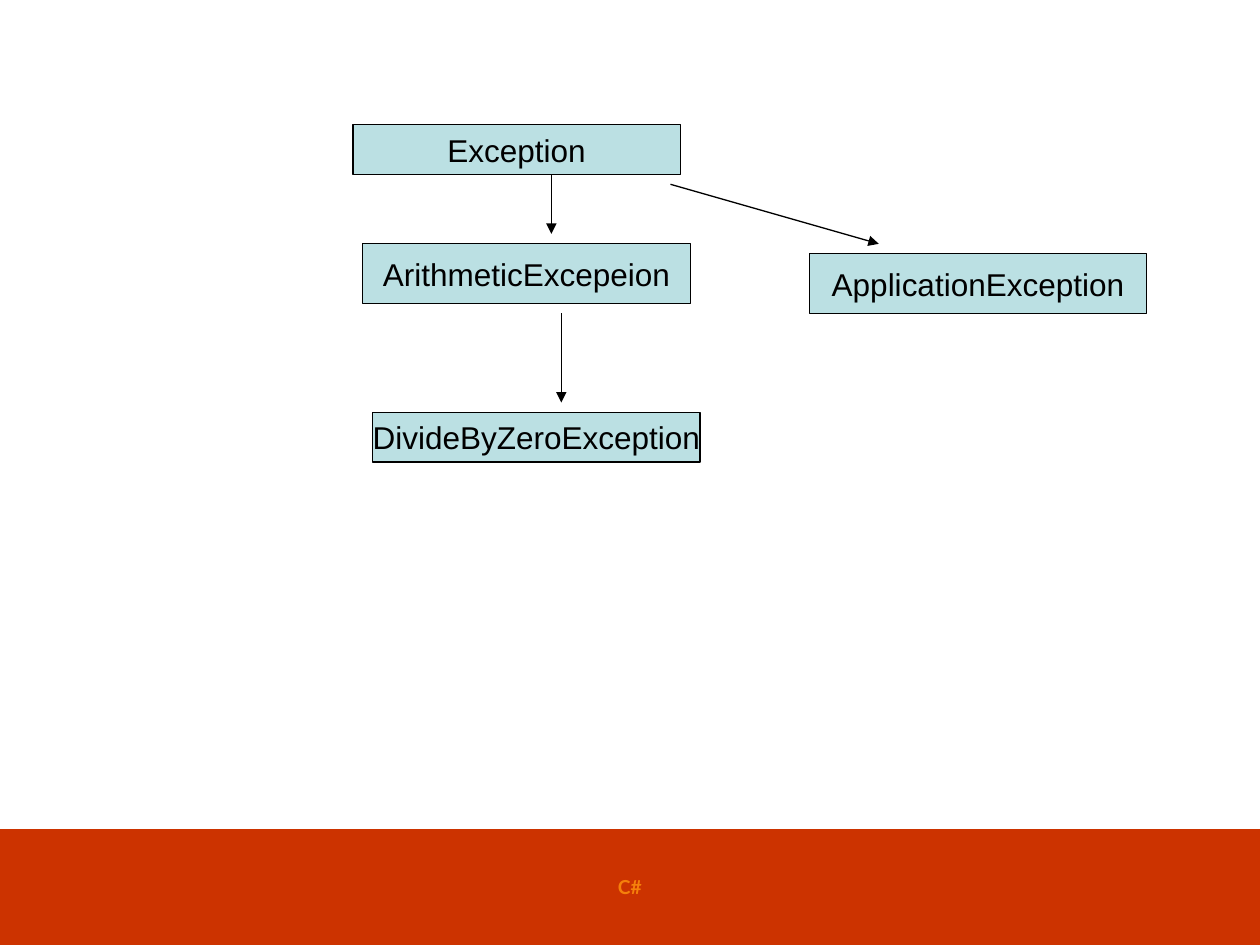
from dataclasses import dataclass

import pptx
import pptx.dml.color
import pptx.enum.shapes
import pptx.enum.text
import pptx.oxml
import pptx.oxml.ns
import pptx.util

COLORS = {"band": "CC3300", "footer": "F5800B", "box": "BBE0E3", "ink": "000000"}
CELL = pptx.util.Mm(2)
ORIGIN = pptx.util.Mm(1.15)
BAND_SHARE = 0.12


@dataclass
class Box:
    """A class in the hierarchy, placed in grid columns and rows."""
    name: str
    col: int
    row: int
    cols: int
    rows: int


@dataclass
class Arrow:
    """An arrow between two grid points."""
    col: int
    row: int
    end_col: int
    end_row: int


BOXES = [
    Box("Exception", 35, 12, 33, 5),
    Box("ArithmeticExcepeion", 36, 24, 33, 6),
    Box("DivideByZeroException", 37, 41, 33, 5),
    Box("ApplicationException", 81, 25, 34, 6),
]
ARROWS = [Arrow(55, 17, 55, 23), Arrow(56, 31, 56, 40), Arrow(67, 18, 88, 24)]


def rgb(name: str) -> pptx.dml.color.RGBColor:
    return pptx.dml.color.RGBColor.from_string(COLORS[name])


def grid(n: int) -> int:
    return ORIGIN + n * CELL


def add_rect(s, x: int, y: int, w: int, h: int, fill: str, text: str,
             font: str, size: int, color: str):
    sp = s.shapes.add_shape(pptx.enum.shapes.MSO_SHAPE.RECTANGLE, x, y, w, h)
    sp.shadow.inherit = False
    sp.fill.solid()
    sp.fill.fore_color.rgb = rgb(fill)
    sp.line.fill.background()
    tf = sp.text_frame
    tf.text = text
    tf.word_wrap = False
    tf.vertical_anchor = pptx.enum.text.MSO_ANCHOR.MIDDLE
    p = tf.paragraphs[0]
    p.alignment = pptx.enum.text.PP_ALIGN.CENTER
    r = p.runs[0]
    r.font.name = font
    r.font.size = pptx.util.Pt(size)
    r.font.color.rgb = rgb(color)
    return sp


def set_line(line) -> None:
    line.color.rgb = rgb("ink")
    line.width = pptx.util.Pt(0.75)


def draw_box(s, box: Box) -> None:
    sp = add_rect(s, grid(box.col), grid(box.row), box.cols * CELL,
                  box.rows * CELL, "box", box.name, "Arial", 18, "ink")
    set_line(sp.line)


def draw_arrow(s, arrow: Arrow) -> None:
    c = s.shapes.add_connector(
        pptx.enum.shapes.MSO_CONNECTOR.STRAIGHT, grid(arrow.col),
        grid(arrow.row), grid(arrow.end_col), grid(arrow.end_row))
    set_line(c.line)
    ns = pptx.oxml.ns.nsdecls("a")
    c.line._get_or_add_ln().append(
        pptx.oxml.parse_xml(f'<a:tailEnd {ns} type="triangle"/>'))
    c._element.spPr.append(pptx.oxml.parse_xml(f"<a:effectLst {ns}/>"))


def main() -> None:
    prs = pptx.Presentation()
    prs.slide_width = pptx.util.Inches(10)
    prs.slide_height = pptx.util.Inches(7.5)
    s = prs.slides.add_slide(prs.slide_layouts.get_by_name("Blank"))

    # Footer band
    width, height = prs.slide_width, prs.slide_height
    band_height = pptx.util.Emu(int(height * BAND_SHARE)) + pptx.util.Inches(0.02)
    band = add_rect(s, 0, height - band_height, width, band_height,
                    "band", "C#", "Lato", 11, "footer")
    band.text_frame.paragraphs[0].runs[0].font.bold = True

    # Exception hierarchy
    for box in BOXES:
        draw_box(s, box)
    for arrow in ARROWS:
        draw_arrow(s, arrow)

    prs.save("out.pptx")


if __name__ == "__main__":
    main()
